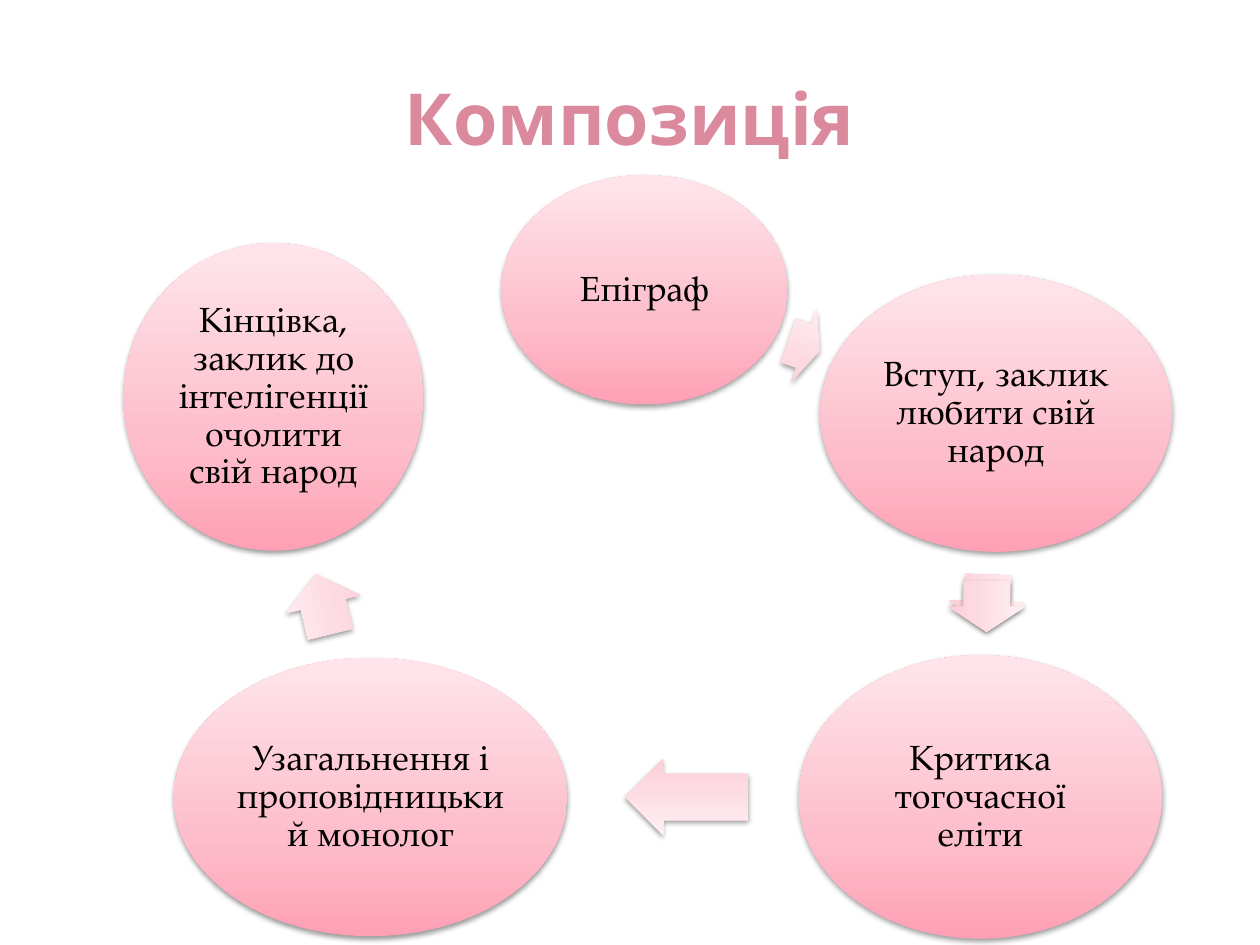
from lxml import etree
from pptx import Presentation
from pptx.dml.color import RGBColor
from pptx.enum.shapes import MSO_SHAPE
from pptx.enum.text import MSO_ANCHOR, PP_ALIGN
from pptx.oxml import parse_xml
from pptx.oxml.ns import nsdecls, qn
from pptx.util import Inches, Pt

OVAL = MSO_SHAPE.OVAL
RIGHT_ARROW = MSO_SHAPE.RIGHT_ARROW
MIDDLE = MSO_ANCHOR.MIDDLE
CENTER = PP_ALIGN.CENTER

COLORS = {
    "title": "DB8A9E",
    "text": "000000",
    "shadow": "000000",
    "stage_dark": "FFA0B5",
    "stage_middle": "FDBDCB",
    "stage_light": "FFE5EB",
    "arrow_dark": "FDCBD6",
    "arrow_middle": "FDDAE1",
    "arrow_light": "FFF0F3",
}
SHADES = {"dark": 0, "middle": 35, "light": 100}
TITLE_FONT = "Noto Sans"
BODY_FONT = "TeX Gyre Pagella"
ARROW_HEIGHT = 0.61

STAGES = [
    ("Епіграф", (3.98, 1.39, 2.27, 1.82)),
    ("Вступ, заклик любити свій народ", (6.51, 2.18, 2.79, 2.2)),
    ("Критика тогочасної еліти", (6.34, 5.2, 2.88, 2.25)),
    ("Узагальнення і проповідницький монолог", (1.38, 5.22, 3.12, 2.21)),
    ("Кінцівка, заклик до інтелігенції очолити свій народ", (0.98, 1.93, 2.38, 2.44)),
]
ARROWS = [
    (6.25, 2.44, 0.26, 19.4),
    (7.62, 4.47, 0.43, 92.2),
    (4.96, 6.02, 0.98, 180),
    (2.32, 4.49, 0.49, 256.4),
    (7.63, 4.51, 0.4, 90),
]


def write_text(text_frame, text, *, font, size, color, bold=False, spacing=1.0, inset=0.1):
    text_frame.word_wrap = True
    text_frame.vertical_anchor = MIDDLE
    text_frame.margin_left = text_frame.margin_right = Inches(inset)
    text_frame.margin_top = text_frame.margin_bottom = Inches(min(inset, 0.05))
    paragraph = text_frame.paragraphs[0]
    paragraph.alignment = CENTER
    paragraph.line_spacing = spacing
    run = paragraph.add_run()
    run.text = text
    run.font.name = font
    run.font.size = Pt(size)
    run.font.bold = bold
    run.font.color.rgb = RGBColor.from_string(COLORS[color])


class CycleSlide:
    def __init__(self, slide):
        self.slide = slide

    def title(self, text, box):
        shape = self.slide.shapes.add_textbox(*map(Inches, box))
        write_text(shape.text_frame, text, font=TITLE_FONT, size=41, color="title", bold=True)

    def stage(self, text, box):
        shape = self.glossy_shape(OVAL, box, "stage")
        write_text(shape.text_frame, text, font=BODY_FONT, size=20, color="text",
                   spacing=0.9, inset=0.03)

    def arrow(self, left, top, width, rotation):
        shape = self.glossy_shape(RIGHT_ARROW, (left, top, width, ARROW_HEIGHT), "arrow")
        shape.adjustments[0] = 0.6
        shape.adjustments[1] = 0.5
        shape.rotation = rotation

    def glossy_shape(self, kind, box, palette):
        shape = self.slide.shapes.add_shape(kind, *map(Inches, box))
        shape.line.fill.background()
        stops = "".join(
            f'<a:gs pos="{position * 1000}"><a:srgbClr val="{COLORS[f"{palette}_{shade}"]}"/></a:gs>'
            for shade, position in SHADES.items()
        )
        gradient = parse_xml(
            f'<a:gradFill {nsdecls("a")} rotWithShape="1"><a:gsLst>{stops}</a:gsLst>'
            '<a:lin ang="16200000" scaled="0"/></a:gradFill>'
        )
        properties = shape.element.spPr
        properties.find(qn("a:ln")).addprevious(gradient)
        shape.shadow.inherit = False
        shadow = etree.SubElement(
            properties.find(qn("a:effectLst")), qn("a:outerShdw"),
            blurRad=str(Pt(3.1)), dist=str(Pt(1.6)), dir="5400000", rotWithShape="0",
        )
        color = etree.SubElement(shadow, qn("a:srgbClr"), val=COLORS["shadow"])
        etree.SubElement(color, qn("a:alpha"), val="38000")
        return shape


def main():
    presentation = Presentation()
    presentation.slide_width = Inches(10)
    presentation.slide_height = Inches(7.5)
    cycle = CycleSlide(presentation.slides.add_slide(presentation.slide_layouts[6]))
    cycle.title("Композиція", (0.5, 0.3, 9, 1.25))
    for (text, box), arrow in zip(STAGES, ARROWS):
        cycle.stage(text, box)
        cycle.arrow(*arrow)
    presentation.save("out.pptx")


if __name__ == "__main__":
    main()
